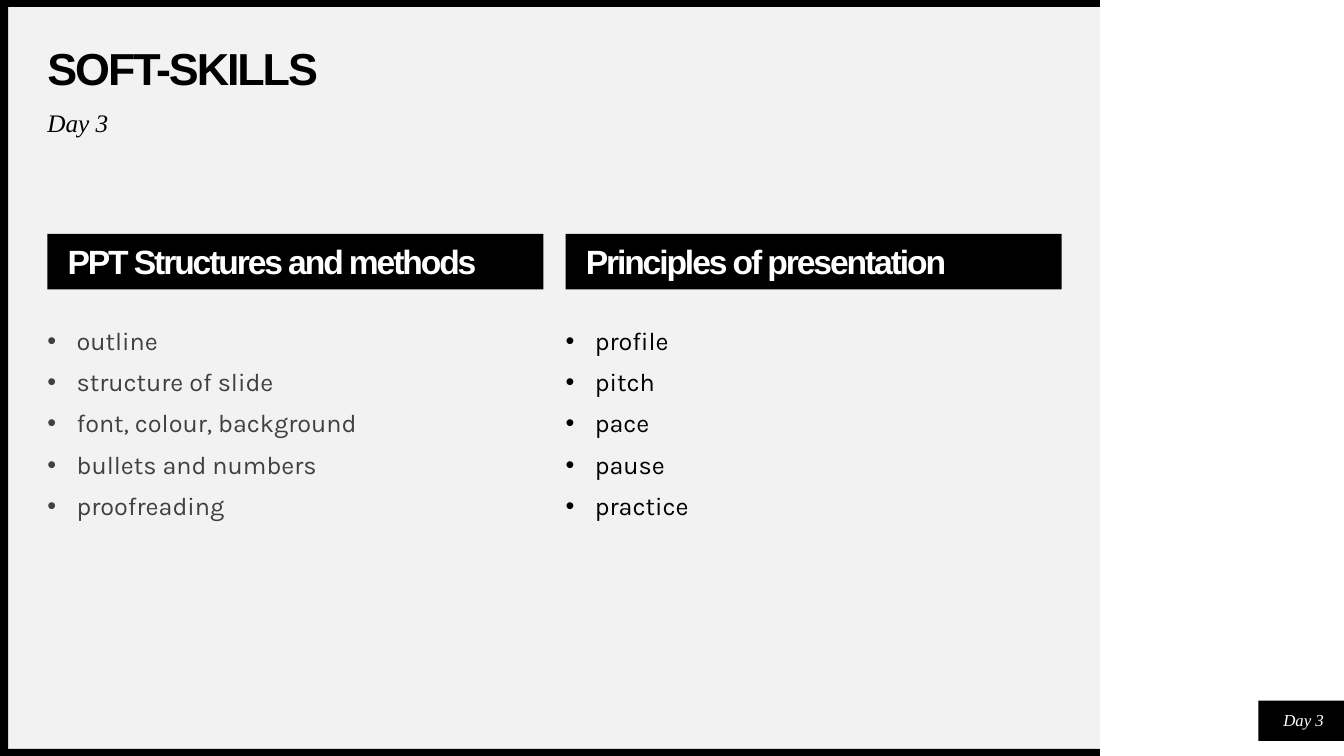
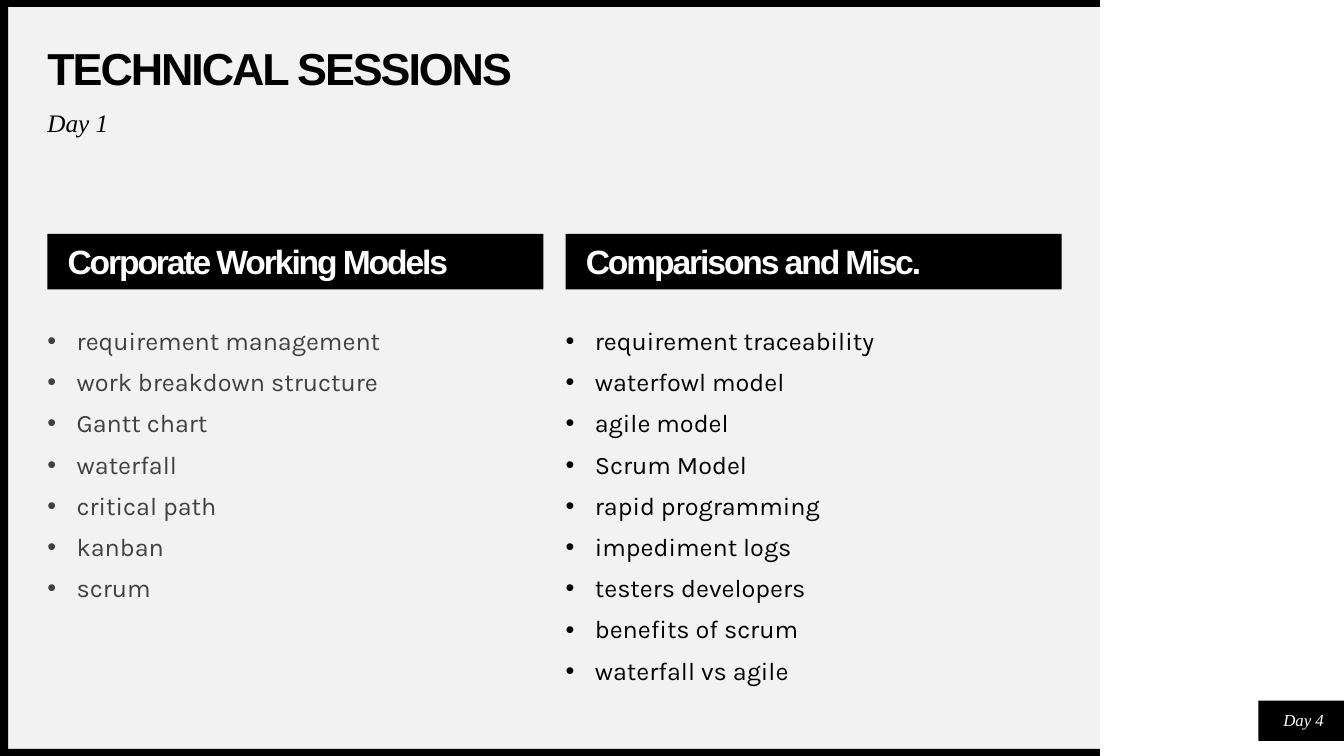
from dataclasses import dataclass

from lxml import etree
from pptx import Presentation
from pptx.dml.color import RGBColor
from pptx.enum.shapes import MSO_SHAPE
from pptx.enum.text import MSO_ANCHOR, MSO_AUTO_SIZE, PP_ALIGN
from pptx.oxml.ns import qn
from pptx.util import Inches, Pt

RECTANGLE = MSO_SHAPE.RECTANGLE
TOP, MIDDLE = MSO_ANCHOR.TOP, MSO_ANCHOR.MIDDLE
LEFT, CENTER = PP_ALIGN.LEFT, PP_ALIGN.CENTER
TITLE_ONLY = 5

SLIDES = [
    {
        "title": "SOFT-SKILLS",
        "subtitle": "Day 3",
        "footer": "Day 3",
        "columns": [
            ("PPT Structures and methods",
             ["outline", "structure of slide", "font, colour, background",
              "bullets and numbers", "proofreading"]),
            ("Principles of presentation",
             ["profile", "pitch", "pace", "pause", "practice"]),
        ],
    },
    {
        "title": "TECHNICAL SESSIONS",
        "subtitle": "Day 1",
        "footer": "Day 4",
        "columns": [
            ("Corporate Working Models",
             ["requirement management", "work breakdown structure", "Gantt chart",
              "waterfall", "critical path", "kanban", "scrum"]),
            ("Comparisons and Misc.",
             ["requirement traceability", "waterfowl model", "agile model",
              "Scrum Model", "rapid programming", "impediment logs",
              "testers developers", "benefits of scrum", "waterfall vs agile"]),
        ],
    },
]


@dataclass(frozen=True)
class Theme:
    black: str = "000000"
    white: str = "FFFFFF"
    panel: str = "F2F2F2"
    gray: str = "404040"
    heading_font: str = "Arial"
    body_font: str = "Karla"
    accent_font: str = "Times New Roman"
    title_size: int = 32
    heading_size: int = 24
    body_size: int = 18
    footer_size: int = 12
    tight: float = -1.5
    line_spacing: float = 0.9
    space_before: int = 10


THEME = Theme()
LIST_COLORS = (THEME.gray, THEME.black)

SLIDE_WIDTH, SLIDE_HEIGHT = 13.33, 7.5
PANEL_WIDTH = 10.91
SIDE_BAND, EDGE_BAND = 0.08, 0.07
MARGIN, CONTENT_WIDTH = 0.47, 10.06
COLUMN_GAP = 0.22
COLUMN_WIDTH = (CONTENT_WIDTH - COLUMN_GAP) / 2
BULLET_INDENT = 0.29


def place(shape, left, top, width, height):
    shape.left, shape.top = Inches(left), Inches(top)
    shape.width, shape.height = Inches(width), Inches(height)


def add_block(slide, left, top, width, height, color):
    block = slide.shapes.add_shape(
        RECTANGLE, Inches(left), Inches(top), Inches(width), Inches(height))
    block.shadow.inherit = False
    block.fill.solid()
    block.fill.fore_color.rgb = RGBColor.from_string(color)
    block.line.fill.background()
    return block


def add_text_box(slide, left, top, width, height):
    return slide.shapes.add_textbox(
        Inches(left), Inches(top), Inches(width), Inches(height))


def add_bullet(paragraph):
    properties = paragraph._p.get_or_add_pPr()
    properties.set("marL", str(Inches(BULLET_INDENT)))
    properties.set("indent", str(-Inches(BULLET_INDENT)))
    etree.SubElement(properties, qn("a:buFont")).set("typeface", "Arial")
    etree.SubElement(properties, qn("a:buChar")).set("char", "•")


def write(shape, *lines, font, size, color, bold=False, italic=False, tracking=0,
          align=LEFT, anchor=TOP, inset=(0, 0), before=0, bullets=False):
    """Fill a shape with one paragraph per line; inset is (left, top) in inches."""
    frame = shape.text_frame
    frame.word_wrap = True
    frame.auto_size = MSO_AUTO_SIZE.NONE
    frame.vertical_anchor = anchor
    frame.margin_left, frame.margin_top = (Inches(value) for value in inset)
    frame.margin_right = frame.margin_bottom = 0
    for index, line in enumerate(lines):
        paragraph = frame.add_paragraph() if index else frame.paragraphs[0]
        paragraph.alignment = align
        paragraph.line_spacing = THEME.line_spacing
        paragraph.space_before = Pt(before)
        if bullets:
            add_bullet(paragraph)
        run = paragraph.add_run()
        run.text = line
        run.font.name, run.font.size = font, Pt(size)
        run.font.bold, run.font.italic = bold, italic
        run.font.color.rgb = RGBColor.from_string(color)
        if tracking:
            run._r.get_or_add_rPr().set("spc", str(round(tracking * 100)))


def add_frame(slide, footer):
    add_block(slide, 0, 0, PANEL_WIDTH, SLIDE_HEIGHT, THEME.panel)
    for top in (0, SLIDE_HEIGHT - EDGE_BAND):
        add_block(slide, 0, top, PANEL_WIDTH, EDGE_BAND, THEME.black)
    add_block(slide, 0, 0, SIDE_BAND, SLIDE_HEIGHT, THEME.black)
    badge = add_block(slide, 12.48, 6.95, 0.86, 0.4, THEME.black)
    write(badge, footer, font=THEME.accent_font, size=THEME.footer_size,
          color=THEME.white, italic=True, align=CENTER, anchor=MIDDLE,
          inset=(0.04, 0))


def add_titles(slide, title, subtitle):
    title_shape = slide.shapes.title
    # Bring the title in front of the panel
    title_shape.element.getparent().append(title_shape.element)
    place(title_shape, MARGIN, 0.47, CONTENT_WIDTH, 0.47)
    write(title_shape, title, font=THEME.heading_font, size=THEME.title_size,
          color=THEME.black, bold=True, tracking=THEME.tight, anchor=MIDDLE)
    subtitle_box = add_text_box(slide, MARGIN, 1.1, CONTENT_WIDTH, 0.39)
    write(subtitle_box, subtitle, font=THEME.accent_font, size=THEME.body_size,
          color=THEME.black, italic=True, before=THEME.space_before)


def add_column(slide, left, heading, items, list_color):
    header = add_block(slide, left, 2.32, COLUMN_WIDTH, 0.55, THEME.black)
    write(header, heading, font=THEME.heading_font, size=THEME.heading_size,
          color=THEME.white, bold=True, tracking=THEME.tight, anchor=MIDDLE,
          inset=(0.2, 0.04), before=THEME.space_before)
    item_list = add_text_box(slide, left, 3.26, COLUMN_WIDTH, 2.76)
    write(item_list, *items, font=THEME.body_font, size=THEME.body_size,
          color=list_color, before=THEME.space_before, bullets=True)


def main():
    presentation = Presentation()
    presentation.slide_width = Inches(SLIDE_WIDTH)
    presentation.slide_height = Inches(SLIDE_HEIGHT)
    for content in SLIDES:
        slide = presentation.slides.add_slide(presentation.slide_layouts[TITLE_ONLY])
        add_frame(slide, content["footer"])
        add_titles(slide, content["title"], content["subtitle"])
        for index, (heading, items) in enumerate(content["columns"]):
            left = MARGIN + index * (COLUMN_WIDTH + COLUMN_GAP)
            add_column(slide, left, heading, items, LIST_COLORS[index])
    presentation.save("out.pptx")


if __name__ == "__main__":
    main()
